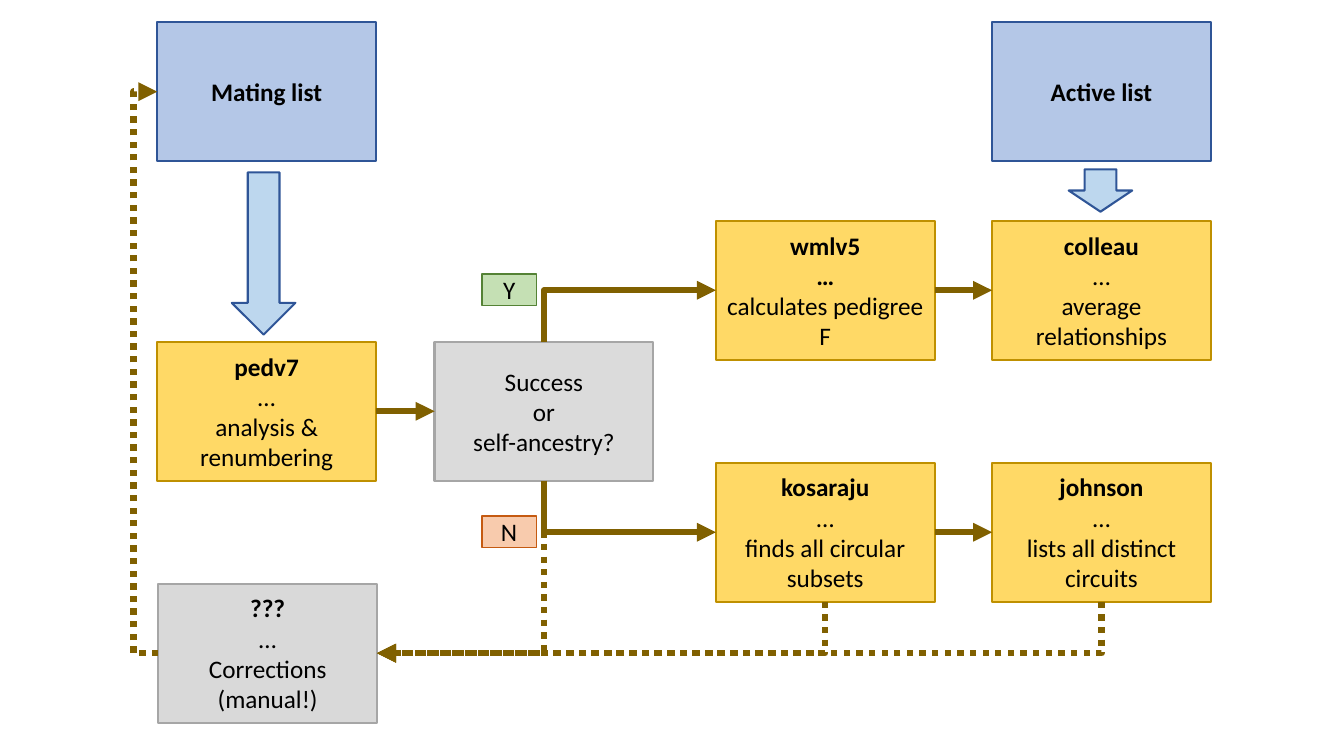
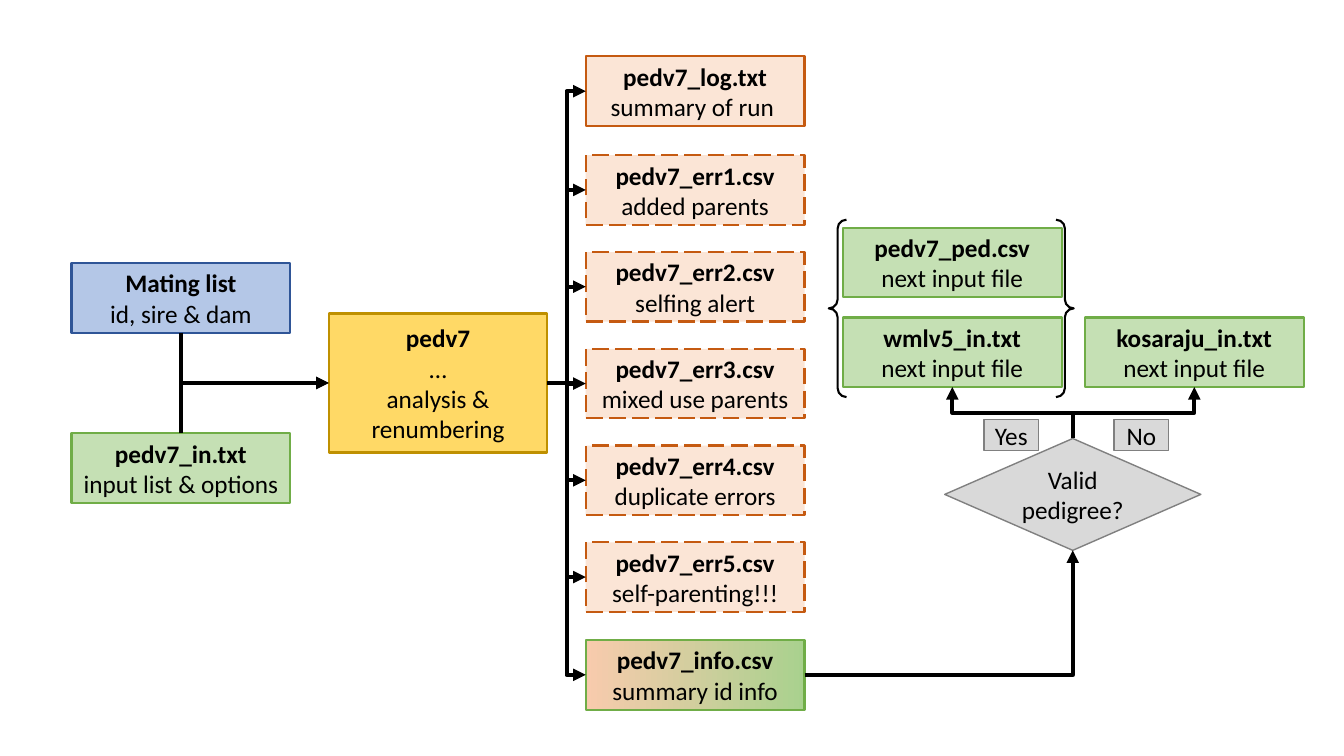
from lxml.etree import SubElement as Sub
from pptx import Presentation
from pptx.dml.color import RGBColor as RGB
from pptx.enum.dml import MSO_LINE as Dash
from pptx.enum.shapes import MSO_CONNECTOR as Wire, MSO_SHAPE as Form
from pptx.enum.text import MSO_ANCHOR as Anchor, PP_ALIGN as Align
from pptx.oxml.ns import qn
from pptx.util import Inches, Pt

GOLD = ("FFD966", "BF9000")
GREY = ("D9D9D9", "A6A6A6")
ASH = ("D9D9D9", "808080")
BLUE = ("B4C7E7", "2F5597")
SKY = ("BDD7EE", "2F5597")
GREEN = ("C5E0B4", "70AD47")
PEACH = ("FBE5D6", "C55A11")
BLEND = (("F8CBAD", "A9D18E"), "70AD47")
TOP, LEFT, BOTTOM, RIGHT = range(4)
WIDE, TALL, LOW = 2.17, 1.38, 0.69


def tint(code):
    return RGB.from_string(code)


class Deck:
    font = "Calibri"
    size = 18

    def __init__(self):
        self.prs = Presentation()
        self.prs.slide_width = Inches(13.33)
        self.prs.slide_height = Inches(7.5)

    def page(self, ink, weight):
        self.ink, self.weight = ink, weight
        self.slide = self.prs.slides.add_slide(self.prs.slide_layouts[6])

    def shape(self, form, x, y, w, h, look, edge=1.5, dash=None):
        item = self.slide.shapes.add_shape(
            form, Inches(x), Inches(y), Inches(w), Inches(h))
        item.shadow.inherit = False
        fill, line = look
        if fill is None:
            item.fill.background()
        elif isinstance(fill, tuple):
            item.fill.gradient()
            item.fill.gradient_angle = 0
            for stop, code in zip(item.fill.gradient_stops, fill):
                stop.color.rgb = tint(code)
        else:
            item.fill.solid()
            item.fill.fore_color.rgb = tint(fill)
        item.line.color.rgb = tint(line)
        item.line.width = Pt(edge)
        if dash:
            item.line.dash_style = dash
        return item

    def label(self, item, text, bold):
        frame = item.text_frame
        frame.word_wrap = True
        frame.vertical_anchor = Anchor.MIDDLE
        frame.text = text
        for i, para in enumerate(frame.paragraphs):
            para.alignment = Align.CENTER
            for run in para.runs:
                run.font.name = self.font
                run.font.size = Pt(self.size)
                run.font.bold = i < bold
                run.font.color.rgb = tint("000000")

    def box(self, x, y, text, look, h=TALL, bold=1, dash=None):
        item = self.shape(Form.RECTANGLE, x, y, WIDE, h, look, dash=dash)
        self.label(item, text, bold)
        return item

    def tag(self, x, y, text, look):
        item = self.shape(Form.RECTANGLE, x, y, 0.54, 0.31, look, 1)
        frame = item.text_frame
        frame.margin_left = frame.margin_right = 0
        frame.margin_top = frame.margin_bottom = 0
        self.label(item, text, 0)

    def link(self, a, start, b, end, bend=None, dash=None, adj=None):
        kind = Wire.ELBOW if bend else Wire.STRAIGHT
        wire = self.slide.shapes.add_connector(kind, 0, 0, 0, 0)
        wire.begin_connect(a, start)
        wire.end_connect(b, end)
        wire.line.color.rgb = tint(self.ink)
        wire.line.width = Pt(self.weight)
        if dash:
            wire.line.dash_style = dash
        props = wire.element.spPr
        Sub(props.find(qn("a:ln")), qn("a:tailEnd"), type="triangle")
        Sub(props, qn("a:effectLst"))
        if bend:
            geom = props.find(qn("a:prstGeom"))
            geom.set("prst", f"bentConnector{bend}")
            if adj:
                guides = geom.find(qn("a:avLst"))
                if guides is None:
                    guides = Sub(geom, qn("a:avLst"))
                Sub(guides, qn("a:gd"), name="adj1", fmla=f"val {adj}")
            if start in (TOP, BOTTOM):
                self.turn(wire)

    def turn(self, wire):
        dx = wire.end_x - wire.begin_x
        dy = wire.end_y - wire.begin_y
        mid = wire.begin_x + dx // 2, wire.begin_y + dy // 2
        way = 1 if dx * dy < 0 else -1
        wire.width, wire.height = abs(dy), abs(dx)
        wire.left = mid[0] - abs(dy) // 2
        wire.top = mid[1] - abs(dx) // 2
        frame = wire.element.spPr.find(qn("a:xfrm"))
        frame.set("rot", str(way * 90 % 360 * 60000))
        frame.set("flipH", str(int(way * dy < 0)))
        frame.set("flipV", str(int(way * dx > 0)))


def flow(deck):
    deck.page("806000", 4.5)
    cols = 1.56, 4.31, 7.1, 9.84
    rows = 0.22, 2.19, 3.39, 4.59, 5.79
    dots = Dash.ROUND_DOT
    john = deck.box(cols[3], rows[3], "johnson\n…\nlists all distinct circuits", GOLD)
    coll = deck.box(cols[3], rows[1], "colleau\n…\naverage\nrelationships", GOLD)
    kosa = deck.box(cols[2], rows[3], "kosaraju\n…\nfinds all circular subsets", GOLD)
    wml = deck.box(cols[2], rows[1], "wmlv5\n…\ncalculates pedigree F", GOLD, bold=2)
    test = deck.box(cols[1], rows[2], "Success\nor\nself-ancestry?",
                    ("DBDBDB", "A6A6A6"), bold=0)
    ped = deck.box(cols[0], rows[2], "pedv7\n…\nanalysis &\nrenumbering", GOLD)
    mend = deck.box(cols[0] + 0.01, rows[4], "???\n…\nCorrections\n(manual!)", GREY)
    mate = deck.box(cols[0], rows[0], "Mating list", BLUE)
    deck.box(cols[3], rows[0], "Active list", BLUE)
    for a, b in ((kosa, john), (wml, coll), (ped, test)):
        deck.link(a, RIGHT, b, LEFT)
    deck.link(test, BOTTOM, kosa, LEFT, 2)
    for a in (john, kosa, test):
        deck.link(a, BOTTOM, mend, RIGHT, 2, dots)
    deck.link(test, TOP, wml, LEFT, 2)
    deck.link(mend, LEFT, mate, LEFT, 3, dots, 2500000)
    deck.tag(4.78, 2.72, "Y", ("C5E0B4", "548235"))
    deck.tag(4.78, 5.12, "N", ("F8CBAD", "C55A11"))
    deck.shape(Form.DOWN_ARROW, 2.3, 1.71, 0.63, 1.61, SKY)
    deck.shape(Form.DOWN_ARROW, 10.6, 1.68, 0.63, 0.42, SKY)


def detail(deck):
    deck.page("000000", 3)
    ped = deck.box(3.26, 3.11, "pedv7\n…\nanalysis &\nrenumbering", GOLD)
    mate = deck.box(0.71, 2.61, "Mating list\nid, sire & dam", BLUE, LOW)
    opts = deck.box(0.71, 4.3, "pedv7_in.txt\ninput list & options", GREEN, LOW)
    outs = [deck.box(5.81, 0.56, "pedv7_log.txt\nsummary of run ", PEACH, LOW)]
    notes = ("added parents", "selfing alert", "mixed use parents",
             "duplicate errors", "self-parenting!!!")
    for i, note in enumerate(notes):
        outs.append(deck.box(5.81, 1.54 + 0.96 * i, f"pedv7_err{i + 1}.csv\n{note}",
                             PEACH, LOW, dash=Dash.LONG_DASH))
    info = deck.box(5.81, 6.35, "pedv7_info.csv\nsummary id info", BLEND, LOW)
    outs.append(info)
    nexts = [deck.box(x, y, f"{name}\nnext input file", GREEN, LOW)
             for x, y, name in ((8.36, 2.26, "pedv7_ped.csv"),
                                (8.36, 3.15, "wmlv5_in.txt"),
                                (10.76, 3.15, "kosaraju_in.txt"))]
    test = deck.shape(Form.DIAMOND, 9.37, 4.35, 2.54, 1.11, ASH, 1)
    deck.label(test, "Valid pedigree?", 0)
    deck.link(mate, BOTTOM, ped, LEFT, 2)
    deck.link(opts, TOP, ped, LEFT, 2)
    for out in outs:
        deck.link(ped, RIGHT, out, LEFT, 3)
    deck.link(info, RIGHT, test, BOTTOM, 2)
    for goal in nexts[1:]:
        deck.link(test, TOP, goal, BOTTOM, 3)
    brace = deck.shape(Form.DOUBLE_BRACE, 8.22, 2.18, 2.43, 1.76, (None, "000000"))
    brace.adjustments[0] = 0.05
    deck.tag(9.76, 4.16, "Yes", ASH)
    deck.tag(11.05, 4.16, "No", ASH)


def main():
    deck = Deck()
    flow(deck)
    detail(deck)
    deck.prs.save("out.pptx")


if __name__ == "__main__":
    main()
